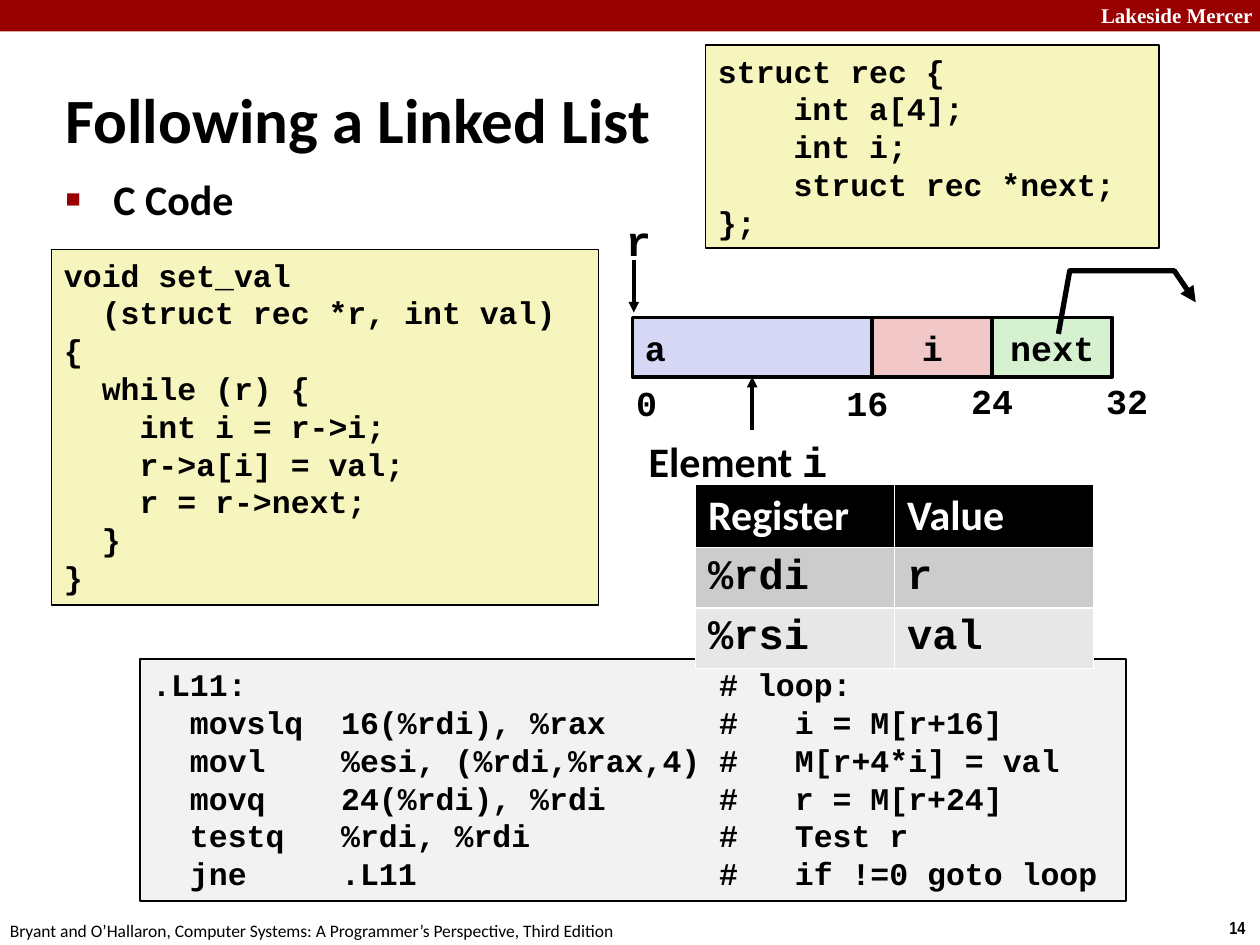
from dataclasses import dataclass
from typing import NamedTuple

from lxml import etree
from pptx import Presentation
from pptx.dml.color import RGBColor
from pptx.enum.shapes import MSO_CONNECTOR, MSO_SHAPE
from pptx.enum.text import MSO_ANCHOR, MSO_AUTO_SIZE, PP_ALIGN
from pptx.oxml.ns import qn
from pptx.util import Inches, Pt

RECT, STRAIGHT = MSO_SHAPE.RECTANGLE, MSO_CONNECTOR.STRAIGHT
LEFT, CENTER = PP_ALIGN.LEFT, PP_ALIGN.CENTER
TOP, MIDDLE = MSO_ANCHOR.TOP, MSO_ANCHOR.MIDDLE
NO_FIT = MSO_AUTO_SIZE.NONE

COLS, ROWS = 100, 75
PRS_W, PRS_H = Inches(10), Inches(7.5)


@dataclass(frozen=True)
class Theme:
    black: str = "000000"
    white: str = "FFFFFF"
    red: str = "990000"
    code: str = "F6F5BD"
    asm: str = "F2F2F2"
    array: str = "D6D6F5"
    index: str = "F1C7C7"
    link: str = "D5F1CF"
    band: tuple = ("000000", "CCCCCC", "E7E7E7")
    sans: str = "Calibri"
    mono: str = "Courier New"
    serif: str = "Times New Roman"
    narrow: str = "Arial Narrow"
    title: int = 36
    head: int = 24
    cell: int = 20
    listing: int = 18
    brand: int = 12
    foot: int = 10


T = Theme()


class Box(NamedTuple):
    x: float
    y: float
    w: float
    h: float


class Style(NamedTuple):
    font: str
    size: int
    color: str = T.black
    bold: bool = True


class Label(NamedTuple):
    text: str
    box: Box
    style: Style


class Listing(NamedTuple):
    text: str
    box: Box
    fill: str


class Field(NamedTuple):
    name: str
    size: int
    fill: str
    align: PP_ALIGN


MONO = Style(T.mono, T.listing)
CELL = Style(T.mono, T.cell)
HEAD = Style(T.sans, T.head)
CODE_HEAD = Style(T.mono, T.head)

LABELS = [
    Label("Lakeside Mercer", Box(86.4, -0.3, 14.3, 3), Style(T.serif, T.brand, T.white)),
    Label("14", Box(96.6, 72.3, 3.4, 2.7), Style(T.narrow, T.foot)),
    Label("Bryant and O’Hallaron, Computer Systems: A Programmer’s Perspective, Third Edition",
          Box(-0.2, 72.5, 50.8, 2.7), Style(T.sans, T.foot, bold=False)),
    Label("r", Box(48.7, 16.5, 4, 5), CODE_HEAD),
    Label("0", Box(49.5, 29.8, 3.6, 4.3), CELL),
    Label("16", Box(66.2, 29.8, 5.4, 4.3), CELL),
    Label("24", Box(76.1, 29.6, 5.4, 4.3), CELL),
    Label("32", Box(86.8, 29.6, 5.4, 4.3), CELL),
]

ASM = """.L11:                         # loop:
  movslq  16(%rdi), %rax      #   i = M[r+16]
  movl    %esi, (%rdi,%rax,4) #   M[r+4*i] = val
  movq    24(%rdi), %rdi      #   r = M[r+24]
  testq   %rdi, %rdi          #   Test r
  jne     .L11                #   if !=0 goto loop"""

SET_VAL = """void set_val
  (struct rec *r, int val)
{
  while (r) {
    int i = r->i;
    r->a[i] = val;
    r = r->next;
  }
}"""

STRUCT = """struct rec {
    int a[4];
    int i;
    struct rec *next;
};"""

ASM_LISTING = Listing(ASM, Box(11.1, 52.3, 78.3, 19.2), T.asm)
C_LISTINGS = [Listing(SET_VAL, Box(4.1, 19.8, 43.4, 28.2), T.code),
              Listing(STRUCT, Box(56, 3.6, 36, 16.1), T.code)]

FIELDS = [Field("a", 16, T.array, LEFT), Field("i", 8, T.index, CENTER),
          Field("next", 8, T.link, CENTER)]
RECORD = Box(50.2, 25.2, 1.19, 4.7)
REGISTERS = [("Register", "Value"), ("%rdi", "r"), ("%rsi", "val")]
ARROWS = [((59.7, 34.1), (59.7, 29.9)), ((50.3, 20.6), (50.3, 24.8))]
NEXT_PATH = [(84, 26.5), (84.9, 21.5), (93.2, 21.5), (94.9, 24)]


def px(col: float) -> int:
    return round(col * PRS_W / COLS)


def py(row: float) -> int:
    return round(row * PRS_H / ROWS)


def place(b: Box) -> tuple:
    return px(b.x), py(b.y), px(b.w), py(b.h)


def apply(obj, **values) -> None:
    for name, value in values.items():
        setattr(obj, name, value)


def add_run(p, text: str, st: Style) -> None:
    r = p.add_run()
    r.text = text
    apply(r.font, name=st.font, size=Pt(st.size), bold=st.bold)
    r.font.color.rgb = RGBColor.from_string(st.color)


def write(tf, text: str, st: Style, align=LEFT, **frame) -> None:
    apply(tf, **frame)
    for n, line in enumerate(text.split("\n")):
        p = tf.add_paragraph() if n else tf.paragraphs[0]
        p.alignment = align
        add_run(p, line, st)


def draw_rect(slide, b: Box, fill: str, width: float = 0):
    sp = slide.shapes.add_shape(RECT, *place(b))
    sp.shadow.inherit = False
    sp.fill.solid()
    sp.fill.fore_color.rgb = RGBColor.from_string(fill)
    if width:
        stroke(sp, width)
    else:
        sp.line.fill.background()
    return sp


def stroke(sp, width: float, arrow: bool = False) -> None:
    sp.line.color.rgb = RGBColor.from_string(T.black)
    sp.line.width = Pt(width)
    if arrow:
        ln = sp._element.spPr.find(qn("a:ln"))
        etree.SubElement(ln, qn("a:tailEnd"), type="triangle")


def draw_label(slide, lb: Label) -> None:
    tf = slide.shapes.add_textbox(*place(lb.box)).text_frame
    write(tf, lb.text, lb.style, word_wrap=False)


def draw_listing(slide, ls: Listing) -> None:
    sp = draw_rect(slide, ls.box, ls.fill, 1)
    write(sp.text_frame, ls.text, MONO, word_wrap=True, vertical_anchor=TOP)


def draw_record(slide) -> None:
    x = RECORD.x
    for f in FIELDS:
        w = f.size * RECORD.w
        sp = draw_rect(slide, Box(x, RECORD.y, w, RECORD.h), f.fill, 2.25)
        write(sp.text_frame, f.name, CELL, f.align, word_wrap=False, vertical_anchor=MIDDLE)
        x += w


def draw_arrow(slide, start: tuple, end: tuple) -> None:
    sp = slide.shapes.add_connector(STRAIGHT, px(start[0]), py(start[1]), px(end[0]), py(end[1]))
    stroke(sp, 2, arrow=True)
    etree.SubElement(sp._element.spPr, qn("a:effectLst"))


def draw_next(slide) -> None:
    pts = [(px(x), py(y)) for x, y in NEXT_PATH]
    fb = slide.shapes.build_freeform(*pts[0])
    fb.add_line_segments(pts[1:], close=False)
    sp = fb.convert_to_shape()
    sp.shadow.inherit = False
    sp.fill.background()
    stroke(sp, 3, arrow=True)


def draw_registers(slide) -> None:
    tbl = slide.shapes.add_table(3, 2, *place(Box(55.2, 38.4, 31.6, 11.3))).table
    for n, (row, fill) in enumerate(zip(REGISTERS, T.band)):
        tbl.rows[n].height = py(4.1 if n else 3.1)
        st = CODE_HEAD if n else HEAD._replace(color=T.white)
        for cell, text in zip(tbl.rows[n].cells, row):
            cell.fill.solid()
            cell.fill.fore_color.rgb = RGBColor.from_string(fill)
            write(cell.text_frame, text, st)


def fill_placeholders(slide) -> None:
    title, body = slide.shapes.title, slide.placeholders[1]
    for sp, b in ((title, Box(4.2, 6.2, 79, 6.3)), (body, Box(4.2, 13.3, 33.3, 7.8))):
        apply(sp, **dict(zip(("left", "top", "width", "height"), place(b))))
    write(title.text_frame, "Following a Linked List", Style(T.sans, T.title),
          auto_size=NO_FIT, vertical_anchor=MIDDLE)
    write(body.text_frame, "C Code", HEAD, auto_size=NO_FIT)
    p = body.text_frame.paragraphs[0]
    p.space_before = Pt(0.2 * T.head)
    pPr = p._p.get_or_add_pPr()
    pPr.set("marL", str(px(3.8)))
    pPr.set("indent", str(-px(3.8)))
    clr = etree.SubElement(pPr, qn("a:buClr"))
    etree.SubElement(clr, qn("a:srgbClr"), val=T.red)
    etree.SubElement(pPr, qn("a:buSzPct"), val="60000")
    etree.SubElement(pPr, qn("a:buChar"), char="■")


def main() -> None:
    prs = Presentation()
    apply(prs, slide_width=PRS_W, slide_height=PRS_H)
    slide = prs.slides.add_slide(prs.slide_layouts[1])
    fill_placeholders(slide)
    draw_rect(slide, Box(0, 0, COLS, 2.5), T.red)
    draw_listing(slide, ASM_LISTING)
    draw_registers(slide)
    for ls in C_LISTINGS:
        draw_listing(slide, ls)
    draw_record(slide)
    for lb in LABELS:
        draw_label(slide, lb)
    element = slide.shapes.add_textbox(*place(Box(50.5, 34.1, 16.7, 4.2))).text_frame
    write(element, "Element ", HEAD, word_wrap=True)
    add_run(element.paragraphs[0], "i", CODE_HEAD)
    element.paragraphs[0].space_before = Pt(0.3 * T.head)
    for start, end in ARROWS:
        draw_arrow(slide, start, end)
    draw_next(slide)
    prs.save("out.pptx")


if __name__ == "__main__":
    main()
